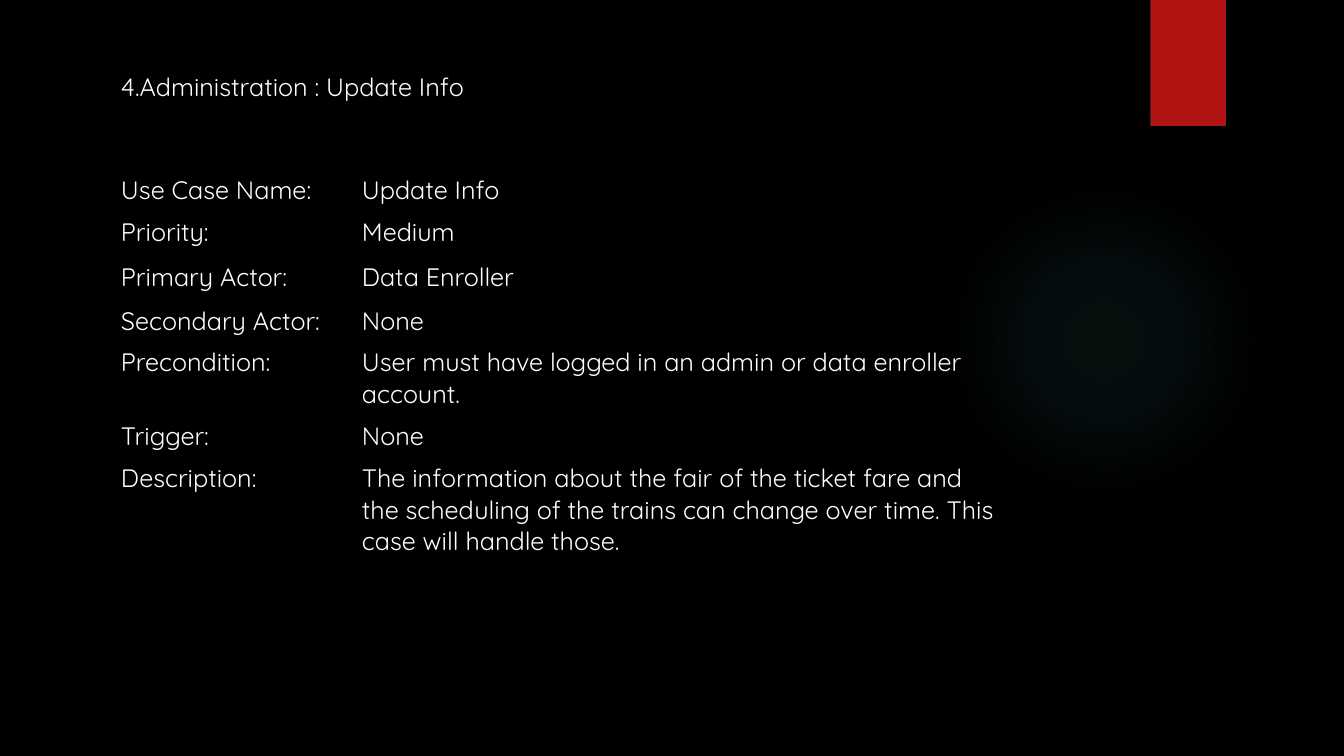
from lxml import etree
from pptx import Presentation
from pptx import util as u
from pptx.dml.color import RGBColor
from pptx.enum import shapes, text
from pptx.oxml import ns

BLACK = RGBColor(0x00, 0x00, 0x00)
WHITE = RGBColor(0xFF, 0xFF, 0xFF)
RED = RGBColor(0xB0, 0x15, 0x13)
TEAL = RGBColor(0x50, 0xB9, 0xC1)

SLIDE_WIDTH, SLIDE_HEIGHT = u.Inches(13.33), u.Inches(7.5)
LEFT_MARGIN = u.Inches(1.1)
FONT = {"name": "Quicksand", "size": u.Pt(18), "bold": False}
NO_GRID_STYLE = "{2D5ABB26-0587-4C30-8999-92F81FD0307C}"

TITLE = "4.Administration : Update Info"
COLUMN_WIDTHS = (2.39, 6.5)
GLOW_STOPS = ((0, 7), (36, 6), (69, 0))  # position and opacity, in percent
USE_CASE = (  # row height in inches, label, value
    (0.42, "Use Case Name:", "Update Info"),
    (0.44, "Priority:", "Medium"),
    (0.44, "Primary Actor:", "Data Enroller"),
    (0.41, "Secondary Actor:", "None"),
    (0.73, "Precondition:",
     "User must have logged in an admin or data enroller account."),
    (0.42, "Trigger:", "None"),
    (1.04, "Description:",
     "The information about the fair of the ticket fare and the scheduling of "
     "the trains can change over time. This case will handle those."),
)


def apply_format(target, values):
    """Set each attribute named in values on target."""
    for name, value in values.items():
        setattr(target, name, value)


def write_text(frame, wording):
    """Write one white paragraph in the slide's font."""
    paragraph = frame.paragraphs[0]
    paragraph.alignment = text.PP_ALIGN.LEFT
    run = paragraph.add_run()
    run.text = wording
    apply_format(run.font, FONT)
    run.font.color.rgb = WHITE


def add_plain_shape(slide, kind, left, top, width, height, color):
    """Add a filled preset shape without line or shadow."""
    shape = slide.shapes.add_shape(
        kind, *(u.Inches(length) for length in (left, top, width, height)))
    shape.shadow.inherit = False
    shape.line.fill.background()
    shape.fill.solid()
    shape.fill.fore_color.rgb = color
    return shape


def make_glow(shape, color, stops):
    """Replace the solid fill with a radial gradient that fades out."""
    gradient = etree.Element(ns.qn("a:gradFill"), rotWithShape="1")
    stop_list = etree.SubElement(gradient, ns.qn("a:gsLst"))
    for position, opacity in stops:
        stop = etree.SubElement(stop_list, ns.qn("a:gs"), pos=str(position * 1000))
        tint = etree.SubElement(stop, ns.qn("a:srgbClr"), val=str(color))
        etree.SubElement(tint, ns.qn("a:alpha"), val=str(opacity * 1000))
    circle = etree.SubElement(gradient, ns.qn("a:path"), path="circle")
    etree.SubElement(circle, ns.qn("a:fillToRect"),
                     {side: "50000" for side in "ltrb"})
    properties = shape.element.spPr
    properties.replace(properties.find(ns.qn("a:solidFill")), gradient)


def add_title(slide, wording):
    """Move the title placeholder above the table and fill it."""
    title = slide.shapes.title
    apply_format(title, {"left": LEFT_MARGIN, "top": u.Inches(0.66),
                         "width": u.Inches(3.82), "height": u.Inches(0.4)})
    apply_format(title.text_frame, {
        "word_wrap": False, "vertical_anchor": text.MSO_ANCHOR.TOP,
        "auto_size": text.MSO_AUTO_SIZE.SHAPE_TO_FIT_TEXT})
    write_text(title.text_frame, wording)


def add_use_case_table(slide, rows):
    """Add the borderless table of labels and values."""
    frame = slide.shapes.add_table(
        len(rows), len(COLUMN_WIDTHS), LEFT_MARGIN, u.Inches(1.68),
        u.Inches(sum(COLUMN_WIDTHS)), u.Inches(sum(row[0] for row in rows)))
    table = frame.table
    apply_format(table, {"first_row": False, "horz_banding": False})
    style = frame.element.find(".//" + ns.qn("a:tableStyleId"))
    style.text = NO_GRID_STYLE
    for column, width in zip(table.columns, COLUMN_WIDTHS):
        column.width = u.Inches(width)
    for row, (height, *wordings) in zip(table.rows, rows):
        row.height = u.Inches(height)
        for cell, wording in zip(row.cells, wordings):
            cell.fill.background()
            write_text(cell.text_frame, wording)


def main():
    """Build the use case slide and save it."""
    presentation = Presentation()
    apply_format(presentation, {"slide_width": SLIDE_WIDTH,
                                "slide_height": SLIDE_HEIGHT})
    title_only = presentation.slide_layouts[5]
    slide = presentation.slides.add_slide(title_only)
    slide.background.fill.solid()
    slide.background.fill.fore_color.rgb = BLACK

    kinds = shapes.MSO_SHAPE
    glow = add_plain_shape(slide, kinds.OVAL, 9.41, 1.83, 3.08, 3.08, TEAL)
    make_glow(glow, TEAL, GLOW_STOPS)
    add_plain_shape(slide, kinds.RECTANGLE, 11.41, 0, 0.75, 1.25, RED)
    add_use_case_table(slide, USE_CASE)
    add_title(slide, TITLE)
    presentation.save("out.pptx")


main()
